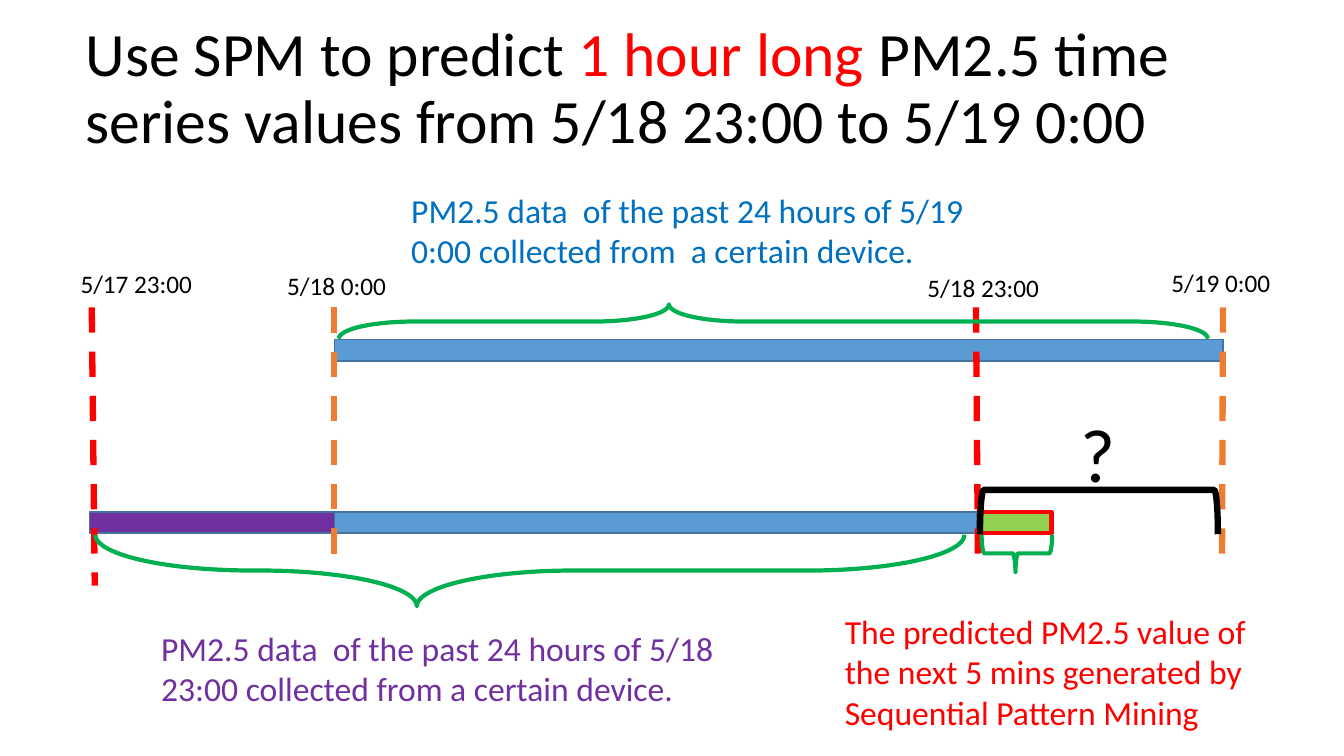
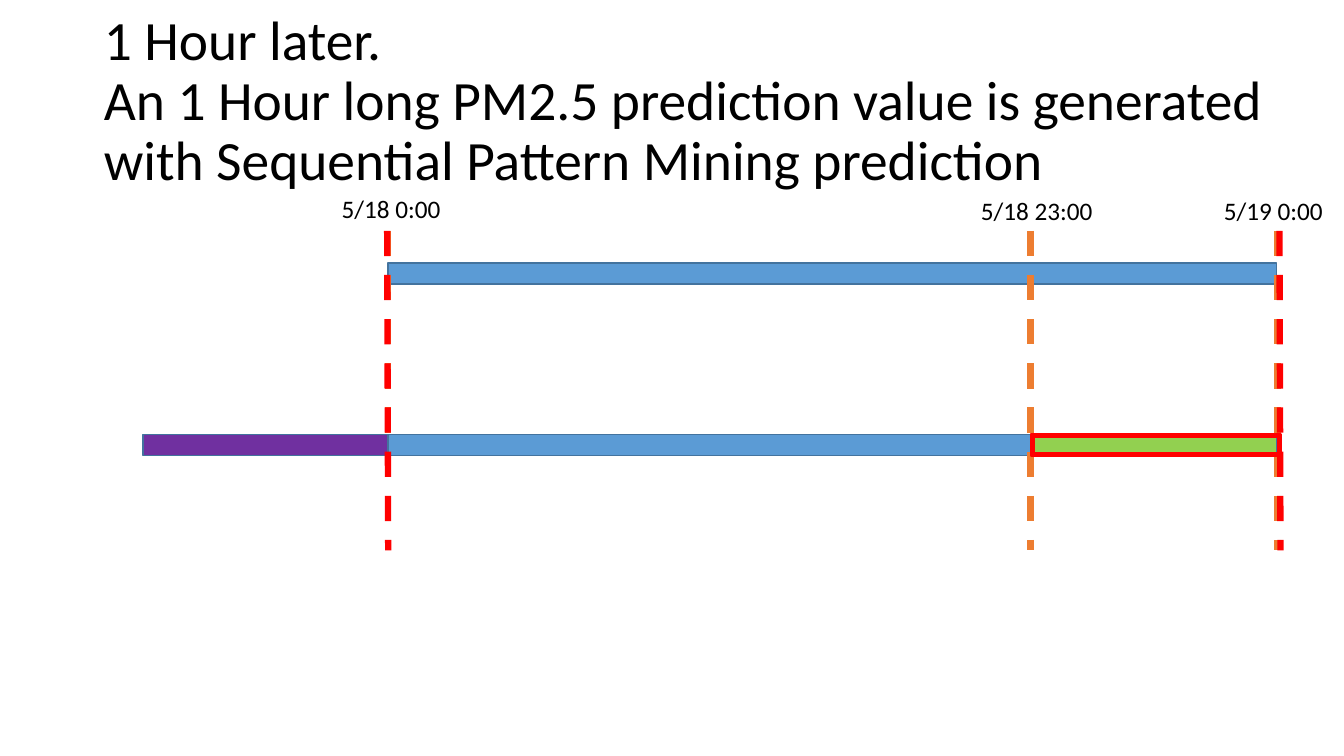
from dataclasses import dataclass

from lxml import etree
from pptx import Presentation
from pptx.dml.color import RGBColor
from pptx.enum.dml import MSO_LINE
from pptx.enum.shapes import MSO_CONNECTOR, MSO_SHAPE
from pptx.enum.text import MSO_ANCHOR, MSO_AUTO_SIZE, PP_ALIGN
from pptx.oxml.ns import qn
from pptx.util import Pt

PX = 9144  # EMU per px, 100 px to the inch
WIDTH, HEIGHT = 1333, 750
FONT = "Calibri"

BLACK = RGBColor(0x00, 0x00, 0x00)
RED = RGBColor(0xFF, 0x00, 0x00)
ORANGE = RGBColor(0xED, 0x7D, 0x31)
BLUE = RGBColor(0x5B, 0x9B, 0xD5)
NAVY = RGBColor(0x43, 0x73, 0x9E)
PURPLE = RGBColor(0x70, 0x30, 0xA0)
LIME = RGBColor(0x92, 0xD0, 0x50)
GREEN = RGBColor(0x00, 0xB0, 0x50)
AZURE = RGBColor(0x00, 0x70, 0xC0)

RECT, FRAME = MSO_SHAPE.RECTANGLE, MSO_SHAPE.FRAME
BRACE, BRACKET = MSO_SHAPE.RIGHT_BRACE, MSO_SHAPE.RIGHT_BRACKET
STRAIGHT, DASH = MSO_CONNECTOR.STRAIGHT, MSO_LINE.DASH
LEFT, MIDDLE = PP_ALIGN.LEFT, MSO_ANCHOR.MIDDLE
NO_FIT, GROW = MSO_AUTO_SIZE.NONE, MSO_AUTO_SIZE.SHAPE_TO_FIT_TEXT

BAR_H = 21
LABEL_W, LABEL_H = 181, 40
DAY, REST, HOUR = 881, 637, 243  # bar lengths: 24 hours, 23 hours, 1 hour


@dataclass
class Bar:
    x: int
    y: int
    w: int
    fill: RGBColor
    edge: RGBColor = NAVY
    weight: float = 1
    kind: int = RECT


@dataclass
class Mark:
    """A dashed time mark, leaning from x1 to x2."""
    x1: int
    x2: int
    top: int
    end: int
    color: RGBColor


@dataclass
class Note:
    x: int
    y: int
    w: int
    h: int
    text: str
    size: int
    color: RGBColor


@dataclass
class Curve:
    """A brace or bracket, given by its frame before turning."""
    x: int
    y: int
    w: int
    h: int
    turn: int
    kind: int = BRACE
    adjust: tuple[float, ...] = ()
    color: RGBColor = GREEN
    weight: float = 3


def label(x: int, y: int, text: str) -> Note:
    return Note(x, y, min(LABEL_W, WIDTH - x), LABEL_H, text, 18, BLACK)


def add_form(slide, kind: int, x: int, y: int, w: int, h: int,
             edge: RGBColor, weight: float):
    form = slide.shapes.add_shape(kind, x * PX, y * PX, w * PX, h * PX)
    form.shadow.inherit = False
    form.line.color.rgb = edge
    form.line.width = Pt(weight)
    return form


def add_bar(slide, bar: Bar) -> None:
    form = add_form(slide, bar.kind, bar.x, bar.y, bar.w, BAR_H,
                    bar.edge, bar.weight)
    form.fill.solid()
    form.fill.fore_color.rgb = bar.fill


def add_curve(slide, curve: Curve) -> None:
    form = add_form(slide, curve.kind, curve.x, curve.y, curve.w, curve.h,
                    curve.color, curve.weight)
    form.fill.background()
    form.rotation = curve.turn
    for i, value in enumerate(curve.adjust):
        form.adjustments[i] = value


def add_mark(slide, mark: Mark) -> None:
    line = slide.shapes.add_connector(
        STRAIGHT, mark.x1 * PX, mark.top * PX, mark.x2 * PX, mark.end * PX)
    line.line.color.rgb = mark.color
    line.line.width = Pt(4.5)
    line.line.dash_style = DASH
    etree.SubElement(line._element.spPr, qn("a:effectLst"))


def add_note(slide, note: Note) -> None:
    box = slide.shapes.add_textbox(
        note.x * PX, note.y * PX, note.w * PX, note.h * PX)
    frame = box.text_frame
    frame.word_wrap = True
    frame.auto_size = GROW
    frame.text = note.text
    font = frame.paragraphs[0].font
    font.name, font.size, font.color.rgb = FONT, Pt(note.size), note.color


def add_slide(deck, box: tuple[int, int, int, int], size: float,
              parts: list[tuple[str, RGBColor]]):
    """Add a title-only slide; each title part has its own colour."""
    slide = deck.slides.add_slide(deck.slide_layouts[5])
    title = slide.shapes.title
    title.left, title.top, title.width, title.height = (n * PX for n in box)
    frame = title.text_frame
    frame.auto_size = NO_FIT
    frame.word_wrap = True
    frame.vertical_anchor = MIDDLE
    para = frame.paragraphs[0]
    para.alignment = LEFT
    para.line_spacing = 0.9
    para.font.name, para.font.size = FONT, Pt(size)
    for i, (text, color) in enumerate(parts):
        for j, row in enumerate(text.split("\n")):
            if j:
                para.add_line_break()
            run = para.add_run()
            run.text = row
            run.font.color.rgb = color
    return slide


def draw(slide, items: list) -> None:
    tools = {Bar: add_bar, Mark: add_mark, Note: add_note, Curve: add_curve}
    for item in items:
        tools[type(item)](slide, item)


def days(x: int, top: int, low: int) -> list[Bar]:
    """The bars of both slides, with 5/18 0:00 at x."""
    return [Bar(x, top, DAY, BLUE), Bar(x, low, REST, BLUE),
            Bar(x - HOUR, low, HOUR, PURPLE)]


def add_plan(deck) -> None:
    slide = add_slide(deck, (75, 17, 1150, 145), 44, [
        ("Use SPM to predict ", BLACK),
        ("1 hour long ", RED),
        ("PM2.5 time series values from 5/18 23:00 to 5/19 0:00", BLACK)])
    draw(slide, [
        Bar(970, 508, 73, LIME, RED, 3),
        *days(332, 337, 508),
        Mark(1213, 1212, 305, 566, ORANGE),
        Mark(331, 331, 305, 566, ORANGE),
        Mark(968, 970, 305, 567, RED),
        Mark(91, 94, 305, 581, RED),
        label(70, 261, "5/17 23:00"),
        label(275, 263, "5/18 0:00"),
        label(910, 265, "5/18 23:00"),
        label(1152, 260, "5/19 0:00"),
        Note(398, 183, 575, 91, "PM2.5 data  of the past 24 hours of 5/19  "
             "0:00 collected from  a certain device.", 24, AZURE),
        Note(150, 618, 587, 91, "PM2.5 data  of the past 24 hours of 5/18  "
             "23:00 collected from a certain device.", 24, PURPLE),
        Note(828, 601, 468, 131, "The predicted PM2.5 value of the next 5 "
             "mins generated by Sequential Pattern Mining", 24, RED),
        Note(1062, 399, 94, 101, "?", 54, BLACK),
        Curve(750, -112, 34, 862, 270, adjust=(2.19, 0.38)),
        Curve(490, 135, 71, 862, 90, adjust=(2.19, 0.63)),
        Curve(990, 514, 37, 70, 90, adjust=(0.08, 0.52)),
        Curve(1068, 390, 44, 236, 270, BRACKET, color=BLACK, weight=4.5),
    ])


def add_result(deck) -> None:
    slide = add_slide(deck, (93, 37, 1207, 130), 39.6, [
        ("1 Hour later. \nAn 1 Hour long PM2.5 prediction value is generated "
         "with Sequential Pattern Mining prediction", BLACK)])
    top, end = 229, 546
    draw(slide, [
        *days(385, 261, 431),
        Bar(1023, 431, HOUR, LIME),
        *(Mark(x, x, top, end, ORANGE) for x in (385, 1022, 1267)),
        *(Mark(x, x + 1, top, end, RED) for x in (384, 1269)),
        label(329, 187, "5/18 0:00"),
        label(963, 189, "5/18 23:00"),
        label(1204, 189, "5/19 0:00"),
        Bar(1023, 431, 247, RED, RED, 1.5, FRAME),
    ])


def main() -> None:
    deck = Presentation()
    deck.slide_width, deck.slide_height = WIDTH * PX, HEIGHT * PX
    add_plan(deck)
    add_result(deck)
    deck.save("out.pptx")


if __name__ == "__main__":
    main()
